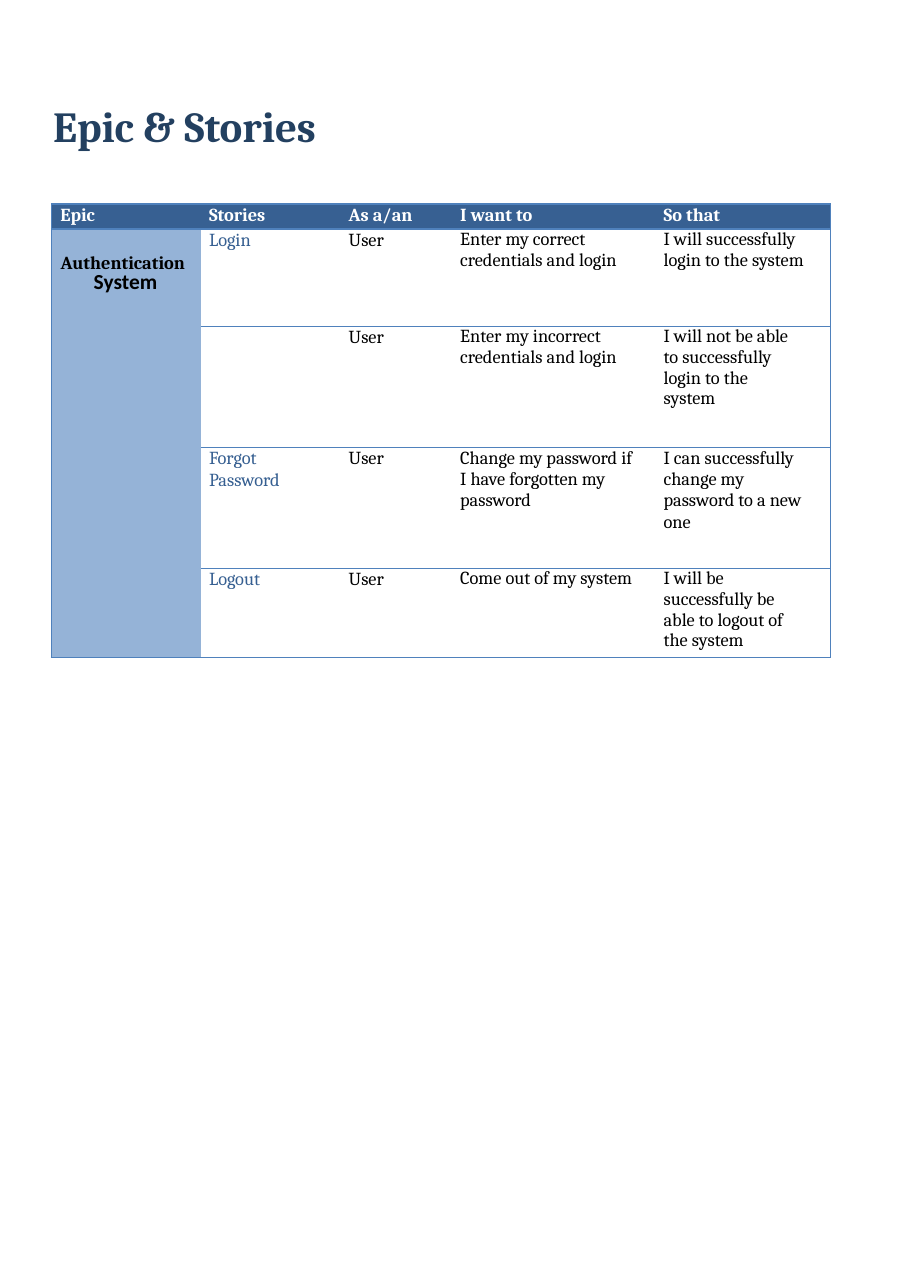
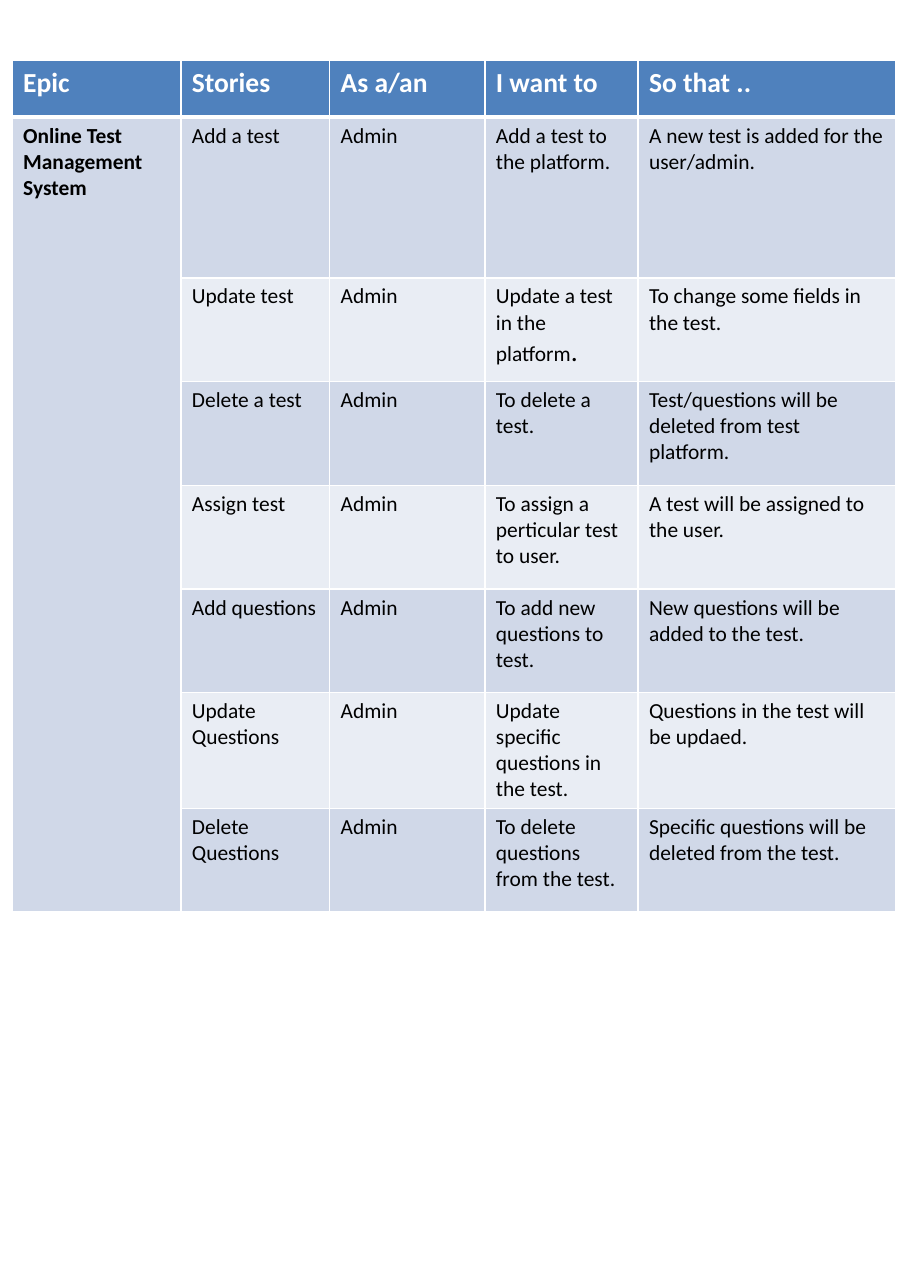
"""Build two portrait pages of epics and user stories."""
import pptx
import pptx.dml.color
import pptx.enum.text
import pptx.util
from lxml import etree
from pptx.oxml.ns import qn

Cm, Pt = pptx.util.Cm, pptx.util.Pt
RGBColor = pptx.dml.color.RGBColor

NAVY = RGBColor(0x23, 0x40, 0x60)
HEADER_BLUE = RGBColor(0x37, 0x60, 0x92)
STORY_BLUE = RGBColor(0x36, 0x5F, 0x91)
EPIC_BLUE = RGBColor(0x95, 0xB3, 0xD7)
RULE_BLUE = RGBColor(0x4F, 0x81, 0xBC)
ACCENT_BLUE = RGBColor(0x4F, 0x81, 0xBD)
BAND_DARK = RGBColor(0xD0, 0xD8, 0xE8)
BAND_LIGHT = RGBColor(0xE9, 0xED, 0xF4)
WHITE = RGBColor(0xFF, 0xFF, 0xFF)
BLACK = RGBColor(0, 0, 0)
SERIF, SANS = "Cambria", "Calibri"
PLAIN_TABLE = "{2D5ABB26-0587-4C30-8999-92F81FD0307C}"

TITLE = "Epic & Stories"
HEADINGS = ["Epic", "Stories", "As a/an", "I want to"]

LOGIN = {
    "left": 1.19, "top": 4.7,
    "columns": [3.45, 3.1, 1.98, 5.38, 4.04],
    "heights": [0.58, 2.24, 2.79, 2.79, 2.06],
    "headings": HEADINGS + ["So that"],
    "stories": [
        ["Login", "User", "Enter my correct credentials and login",
         "I will successfully login to the system"],
        ["", "User", "Enter my incorrect credentials and login",
         "I will not be able to successfully login to the system"],
        ["Forgot Password", "User", "Change my password if I have forgotten my password",
         "I can successfully change my password to a new one"],
        ["Logout", "User", "Come out of my system",
         "I will be successfully be able to logout of the system"],
    ],
}
LOGIN_INDENTS = [0.2, 0.18, 0.3, 0.89, 0.2]
LOGIN_RIGHT_MARGINS = [0, 0.46, 0, 0.46]
LAST_RIGHT_MARGINS = [0.43, 0.76, 0.43, 0.76]
LAST_LINE_SPACINGS = [0.98, 0.98, Pt(14), 0.98]

TESTS = {
    "left": 0.28, "top": 1.4,
    "columns": [3.89, 3.43, 3.58, 3.53, 5.94],
    "heights": [1.3, 3.71] + [2.39] * 6,
    "headings": HEADINGS + ["So that .."],
    "stories": [
        ["Add a test", "Admin", "Add a test to the platform.",
         "A new test is added for the user/admin."],
        ["Update test", "Admin", "Update a test in the platform",
         "To change some fields in the test."],
        ["Delete a test", "Admin", "To delete a test.",
         "Test/questions will be deleted from test platform."],
        ["Assign test", "Admin", "To assign a perticular test to user.",
         "A test will be assigned to the user."],
        ["Add questions", "Admin", "To add new questions to test.",
         "New questions will be added to the test."],
        ["Update Questions", "Admin", "Update specific questions in the test.",
         "Questions in the test will be updaed."],
        ["Delete Questions", "Admin", "To delete questions from the test.",
         "Specific questions will be deleted from the test."],
    ],
}


def add_span(para, text, font, size, color, bold=False):
    span = para.add_run()
    span.text = text
    span.font.name, span.font.size, span.font.bold = font, Pt(size), bold
    span.font.color.rgb = color


def set_border(cell, side, color, width):
    line = etree.SubElement(cell._tc.get_or_add_tcPr(), qn("a:ln" + side), w=str(Pt(width)))
    fill = etree.SubElement(line, qn("a:solidFill"))
    etree.SubElement(fill, qn("a:srgbClr"), val=str(color))


def set_fill(cell, color):
    if color is None:
        cell.fill.background()
    else:
        cell.fill.solid()
        cell.fill.fore_color.rgb = color


def add_story_table(page, content):
    columns, heights = content["columns"], content["heights"]
    frame = page.shapes.add_table(
        len(heights), len(columns), Cm(content["left"]), Cm(content["top"]),
        Cm(sum(columns)), Cm(sum(heights)))
    table = frame.table
    table._tbl.tblPr.find(qn("a:tableStyleId")).text = PLAIN_TABLE
    table.horz_banding = False
    for column, width in zip(table.columns, columns):
        column.width = Cm(width)
    for row, height in zip(table.rows, heights):
        row.height = Cm(height)
    table.cell(1, 0).merge(table.cell(len(heights) - 1, 0))
    return table


def story_cells(table, content):
    """Yield row, column, cell and text; the epic column is empty below its heading."""
    rows = [content["headings"]] + [[""] + story for story in content["stories"]]
    for r, texts in enumerate(rows):
        for c, text in enumerate(texts):
            yield r, c, table.cell(r, c), text


def build_login_page(deck):
    page = deck.slides.add_slide(deck.slide_layouts[5])
    title = page.shapes.title
    title.left, title.top, title.width, title.height = Cm(0.97), Cm(2.16), Cm(8.51), Cm(1.45)
    title.text_frame.vertical_anchor = pptx.enum.text.MSO_ANCHOR.TOP
    para = title.text_frame.paragraphs[0]
    para.alignment = pptx.enum.text.PP_ALIGN.LEFT
    add_span(para, TITLE, SERIF, 28, NAVY, True)

    table = add_story_table(page, LOGIN)
    last = len(LOGIN["columns"]) - 1
    for r, c, cell, text in story_cells(table, LOGIN):
        sides = ("L" if c == 0 else "") + ("R" if c == last else "") + "TB"
        for side in sides:
            set_border(cell, side, RULE_BLUE, 1)
        set_fill(cell, HEADER_BLUE if r == 0 else EPIC_BLUE if c == 0 else None)
        cell.margin_left = cell.margin_right = cell.margin_top = cell.margin_bottom = 0
        para = cell.text_frame.paragraphs[0]
        para.line_spacing = Pt(14.2)
        indent = LOGIN_INDENTS[c]
        if r and c:
            cell.margin_right = Cm(LAST_RIGHT_MARGINS[r - 1] if c == last else LOGIN_RIGHT_MARGINS[c])
            if c >= 3:
                para.line_spacing = LAST_LINE_SPACINGS[r - 1]
        if (r, c) == (1, 0):
            cell.margin_top = Cm(0.53)
            indent = 0.97
            para._p.get_or_add_pPr().set("indent", str(-Cm(0.76)))
            add_span(para, "Authentication ", SERIF, 12, BLACK, True)
            add_span(para, "System", SANS, 14, BLACK, True)
        elif text:
            color = WHITE if r == 0 else STORY_BLUE if c == 1 else BLACK
            add_span(para, text, SERIF, 12, color, r == 0)
        para._p.get_or_add_pPr().set("marL", str(Cm(indent)))


def build_tests_page(deck):
    page = deck.slides.add_slide(deck.slide_layouts[6])
    table = add_story_table(page, TESTS)
    for r, c, cell, text in story_cells(table, TESTS):
        for side in "LRTB":
            thick = (r == 0 and side == "B") or (r == 1 and side == "T")
            set_border(cell, side, WHITE, 3 if thick else 1)
        band = BAND_DARK if r % 2 or c == 0 else BAND_LIGHT
        set_fill(cell, ACCENT_BLUE if r == 0 else band)
        para = cell.text_frame.paragraphs[0]
        if r == 0:
            add_span(para, text, SANS, 18, WHITE, True)
        elif (r, c) == (1, 0):
            add_span(para, "Online Test Management System", SANS, 14, BLACK, True)
        elif text:
            add_span(para, text, SANS, 14, BLACK)
        if (r, c) == (2, 3):
            add_span(para, ".", SANS, 18, BLACK)


def main():
    deck = pptx.Presentation()
    deck.slide_width, deck.slide_height = Cm(20.98), Cm(29.69)
    build_login_page(deck)
    build_tests_page(deck)
    deck.save("out.pptx")


if __name__ == "__main__":
    main()
